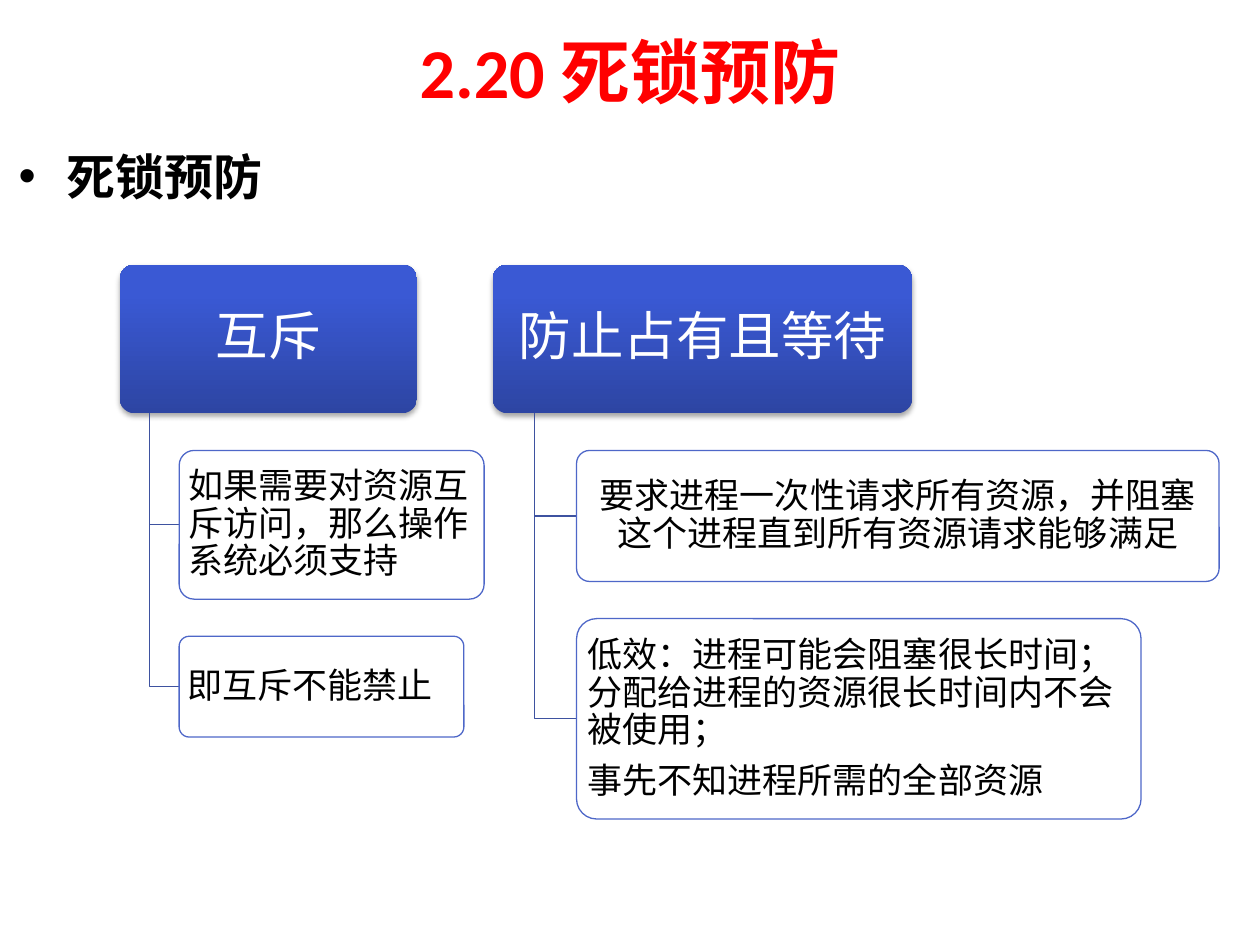
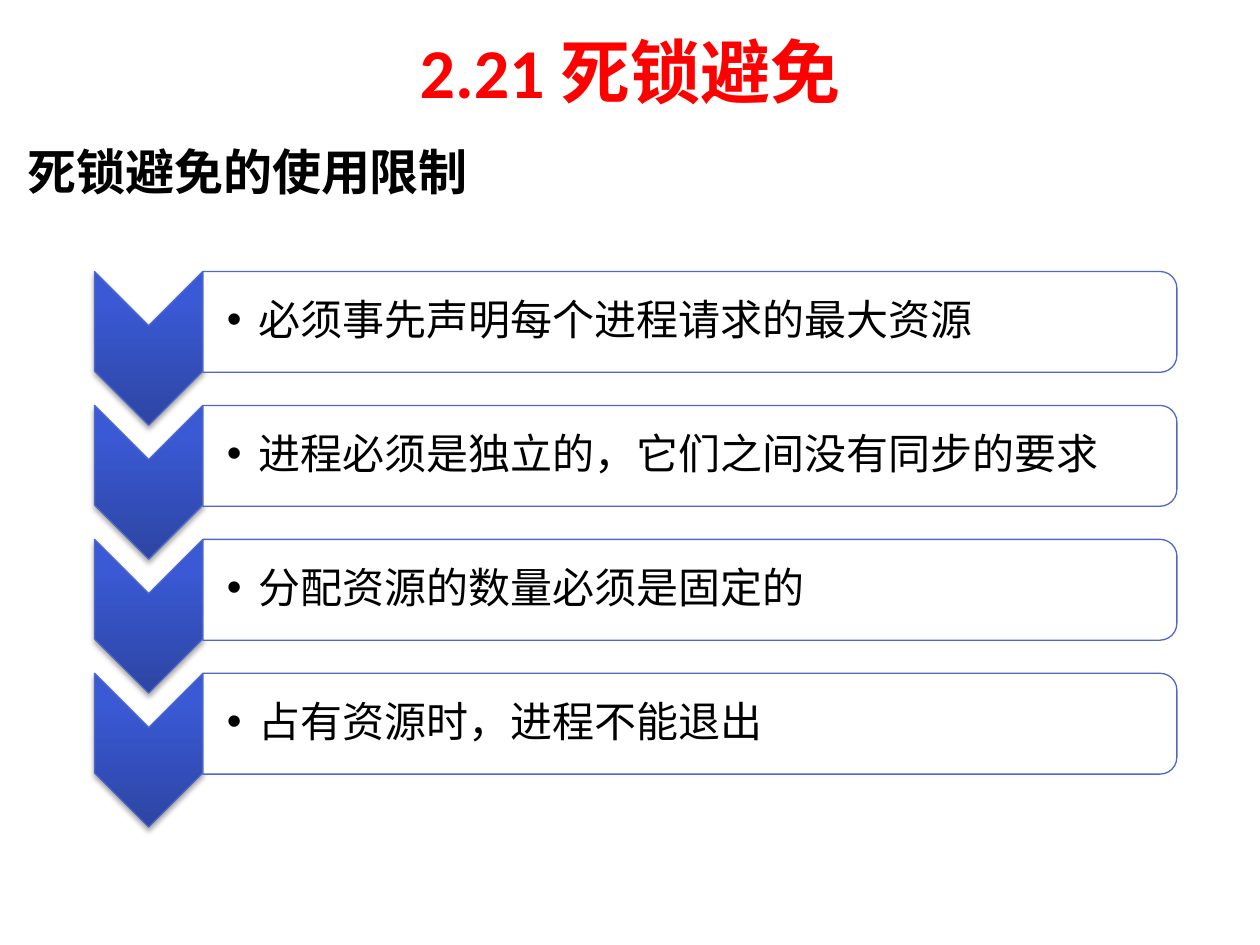
"""Build two slides on deadlock prevention and deadlock avoidance."""
from dataclasses import dataclass
from typing import NamedTuple

import lxml.etree
import pptx
import pptx.dml.color
import pptx.enum.shapes
import pptx.enum.text
import pptx.oxml
import pptx.oxml.ns
import pptx.util

RGB = pptx.dml.color.RGBColor
RED = RGB(0xFF, 0x00, 0x00)
BLACK = RGB(0x00, 0x00, 0x00)
WHITE = RGB(0xFF, 0xFF, 0xFF)
OUTLINE_BLUE = RGB(0x4E, 0x67, 0xC8)
BRANCH_BLUE = RGB(0x3E, 0x52, 0xA0)
GRADIENT_STOPS = (
    (0, RGB(0x2D, 0x45, 0xA3)),
    (80, RGB(0x3A, 0x59, 0xD4)),
    (100, RGB(0x37, 0x58, 0xD7)),
)

SLIDE_WIDTH = pptx.util.Inches(10)
SLIDE_HEIGHT = pptx.util.Inches(7.5)
COLUMN = SLIDE_WIDTH / 100
ROW = SLIDE_HEIGHT / 75
LINE_WIDTH = pptx.util.Pt(0.75)
NAMESPACE = pptx.oxml.ns.nsdecls("a")

SHAPES = pptx.enum.shapes.MSO_SHAPE
LEFT = pptx.enum.text.PP_ALIGN.LEFT
CENTER = pptx.enum.text.PP_ALIGN.CENTER
TOP = pptx.enum.text.MSO_ANCHOR.TOP
MIDDLE = pptx.enum.text.MSO_ANCHOR.MIDDLE


class Box(NamedTuple):
    """A rectangle measured in grid columns and rows."""

    left: float
    top: float
    width: float
    height: float

    def emu(self) -> tuple[int, int, int, int]:
        """Return the rectangle in slide units."""
        return (
            round(self.left * COLUMN),
            round(self.top * ROW),
            round(self.width * COLUMN),
            round(self.height * ROW),
        )

    def before_quarter_turn(self) -> "Box":
        """Return the frame that covers this box once turned by 90 degrees."""
        shift = (self.width - self.height) / 2
        return Box(self.left + shift, self.top - shift, self.height, self.width)


@dataclass(frozen=True)
class TextStyle:
    """The look of the text in one kind of box."""

    size: float
    font: str
    color: RGB
    bold: bool = False
    align: int = LEFT
    anchor: int = MIDDLE
    insets: tuple[float, float] = (0.1, 0.05)
    line_spacing: float = 1.0
    after_share: float = 0
    bullet_indent: float = 0


@dataclass(frozen=True)
class Card:
    """A detail card hanging below a heading."""

    width: float
    height: float
    lines: tuple[str, ...]
    align: int = LEFT


@dataclass(frozen=True)
class Branch:
    """A heading with its detail cards."""

    left: float
    width: float
    heading: str
    cards: tuple[Card, ...]


TITLE_BOX = Box(5, 0.5, 90, 10.2)
TITLE = TextStyle(40, "Calibri", RED, bold=True, align=CENTER)
TOPIC = TextStyle(28, "Arial", BLACK, bold=True, anchor=TOP)
BULLET_TOPIC = TextStyle(28, "Arial", BLACK, bold=True, anchor=TOP, bullet_indent=0.38)
HEADING = TextStyle(30, "Calibri", WHITE, align=CENTER, insets=(0.06, 0.04),
                    line_spacing=0.9, after_share=0.35)
LIMIT = TextStyle(24, "Noto Sans CJK SC", BLACK, insets=(0.19, 0.02),
                  line_spacing=0.9, after_share=0.15, bullet_indent=0.25)

HEADING_TOP, HEADING_HEIGHT = 21, 11.8
CARD_GAP = HEADING_HEIGHT / 4
BRANCHES = (
    Branch(9.5, 23.6, "互斥", (
        Card(24.2, 11.8, ("如果需要对资源互斥访问，那么操作系统必须支持",)),
        Card(22.6, 8, ("即互斥不能禁止",)),
    )),
    Branch(39.1, 33.3, "防止占有且等待", (
        Card(51, 10.4, ("要求进程一次性请求所有资源，并阻塞这个进程直到所有资源请求能够满足",), CENTER),
        Card(44.8, 15.9, (
            "低效：进程可能会阻塞很长时间；分配给进程的资源很长时间内不会被使用；",
            "事先不知进程所需的全部资源",
        )),
    )),
)

CHEVRON = Box(7.5, 21.55, 8.6, 12.2)
BAR_WIDTH, BAR_HEIGHT, BAR_PITCH = 77.3, 8, 10.63
LIMITS = (
    "必须事先声明每个进程请求的最大资源",
    "进程必须是独立的，它们之间没有同步的要求",
    "分配资源的数量必须是固定的",
    "占有资源时，进程不能退出",
)


def add_bullet(para, indent: float) -> None:
    """Give the paragraph a round bullet with a hanging indent in inches."""
    properties = para._p.get_or_add_pPr()
    properties.set("marL", str(pptx.util.Inches(indent)))
    properties.set("indent", str(-pptx.util.Inches(indent)))
    for tag, key, value in (("a:buFont", "typeface", "Arial"), ("a:buChar", "char", "•")):
        lxml.etree.SubElement(properties, pptx.oxml.ns.qn(tag)).set(key, value)


def write_text(shape, lines: tuple[str, ...], style: TextStyle) -> None:
    """Write one paragraph per line in the given style."""
    frame = shape.text_frame
    frame.word_wrap = True
    frame.vertical_anchor = style.anchor
    across, down = (pptx.util.Inches(inset) for inset in style.insets)
    frame.margin_left = frame.margin_right = across
    frame.margin_top = frame.margin_bottom = down
    frame.text = "\n".join(lines)
    for para in frame.paragraphs:
        if style.bullet_indent:
            add_bullet(para, style.bullet_indent)
        para.alignment = style.align
        para.line_spacing = style.line_spacing
        para.space_after = pptx.util.Pt(style.size * style.after_share)
        para.font.size = pptx.util.Pt(style.size)
        para.font.name = style.font
        para.font.bold = style.bold
        para.font.color.rgb = style.color


def add_text(page, box: Box, text: str, style: TextStyle) -> None:
    """Add a text box with one paragraph."""
    write_text(page.shapes.add_textbox(*box.emu()), (text,), style)


def add_outlined(page, kind: int, box: Box):
    """Add a white shape with a thin blue outline."""
    shape = page.shapes.add_shape(kind, *box.emu())
    shape.shadow.inherit = False
    shape.fill.solid()
    shape.fill.fore_color.rgb = WHITE
    shape.line.color.rgb = OUTLINE_BLUE
    shape.line.width = LINE_WIDTH
    return shape


def add_glossy(page, kind: int, box: Box):
    """Add an outlined shape with a blue gradient and a soft shadow."""
    shape = add_outlined(page, kind, box)
    properties = shape._element.spPr
    stops = "".join(
        f'<a:gs pos="{share * 1000}"><a:srgbClr val="{color}"/></a:gs>'
        for share, color in GRADIENT_STOPS
    )
    gradient = pptx.oxml.parse_xml(
        f'<a:gradFill {NAMESPACE} rotWithShape="0"><a:gsLst>{stops}</a:gsLst>'
        '<a:lin ang="16200000" scaled="0"/></a:gradFill>'
    )
    properties.replace(properties.find(pptx.oxml.ns.qn("a:solidFill")), gradient)
    shadow = pptx.oxml.parse_xml(
        f'<a:outerShdw {NAMESPACE} blurRad="{pptx.util.Pt(3.1)}" dist="{pptx.util.Pt(1.8)}"'
        ' dir="5400000" rotWithShape="0"><a:srgbClr val="000000">'
        '<a:alpha val="35000"/></a:srgbClr></a:outerShdw>'
    )
    properties.find(pptx.oxml.ns.qn("a:effectLst")).append(shadow)
    return shape


def add_elbow(page, start: tuple[float, float], end: tuple[float, float]) -> None:
    """Draw a line down from the start and then across to the end."""
    (left, top), (right, bottom) = start, end
    builder = page.shapes.build_freeform(round(left * COLUMN), round(top * ROW))
    corners = ((left, bottom), (right, bottom))
    builder.add_line_segments(
        [(round(x * COLUMN), round(y * ROW)) for x, y in corners], close=False
    )
    elbow = builder.convert_to_shape()
    elbow.shadow.inherit = False
    elbow.fill.background()
    elbow.line.color.rgb = BRANCH_BLUE
    elbow.line.width = LINE_WIDTH


def add_branch(page, branch: Branch) -> None:
    """Draw a heading, its cards and the lines that join them."""
    box = Box(branch.left, HEADING_TOP, branch.width, HEADING_HEIGHT)
    heading = add_glossy(page, SHAPES.ROUNDED_RECTANGLE, box)
    heading.adjustments[0] = 0.1
    heading.line.fill.background()
    write_text(heading, (branch.heading,), HEADING)
    trunk = branch.left + branch.width / 10
    card_left = branch.left + branch.width / 5
    heading_bottom = HEADING_TOP + HEADING_HEIGHT
    card_top = heading_bottom + CARD_GAP
    for card in branch.cards:
        add_elbow(page, (trunk, heading_bottom), (card_left, card_top + card.height / 2))
        box = Box(card_left, card_top, card.width, card.height)
        shape = add_outlined(page, SHAPES.ROUNDED_RECTANGLE, box)
        shape.adjustments[0] = 0.1
        style = TextStyle(20, "Calibri", BLACK, align=card.align, insets=(0.04, 0.03),
                          line_spacing=0.9, after_share=0.35)
        write_text(shape, card.lines, style)
        card_top += card.height + CARD_GAP


def add_limit(page, row: int, text: str) -> None:
    """Draw a chevron and the bar beside it."""
    chevron = CHEVRON._replace(top=CHEVRON.top + row * BAR_PITCH)
    bar = Box(chevron.left + chevron.width, chevron.top, BAR_WIDTH, BAR_HEIGHT)
    add_glossy(page, SHAPES.CHEVRON, chevron.before_quarter_turn()).rotation = 90
    add_outlined(page, SHAPES.ROUND_2_SAME_RECTANGLE, bar.before_quarter_turn()).rotation = 90
    add_text(page, bar, text, LIMIT)


def add_page(deck, title: str):
    """Add a blank page with the shared title."""
    page = deck.slides.add_slide(deck.slide_layouts[6])
    add_text(page, TITLE_BOX, title, TITLE)
    return page


def main() -> None:
    """Build and save the deck."""
    deck = pptx.Presentation()
    deck.slide_width, deck.slide_height = SLIDE_WIDTH, SLIDE_HEIGHT

    prevention = add_page(deck, "2.20 死锁预防")
    add_text(prevention, Box(0.5, 11.1, 90, 9.2), "死锁预防", BULLET_TOPIC)
    for branch in BRANCHES:
        add_branch(prevention, branch)

    avoidance = add_page(deck, "2.21 死锁避免")
    add_text(avoidance, Box(1.2, 10.7, 90, 7.1), "死锁避免的使用限制", TOPIC)
    for row, text in enumerate(LIMITS):
        add_limit(avoidance, row, text)

    deck.save("out.pptx")


if __name__ == "__main__":
    main()
